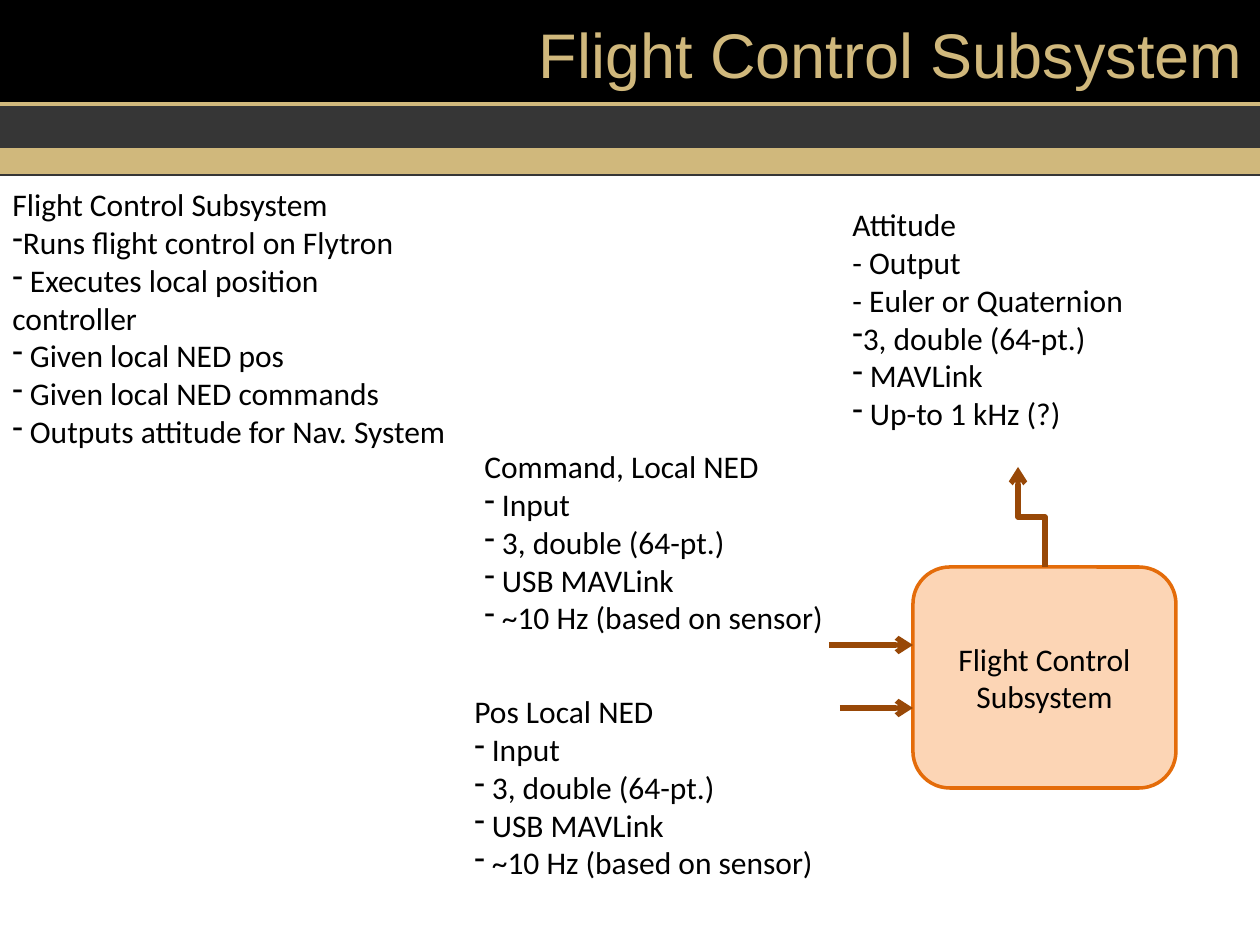
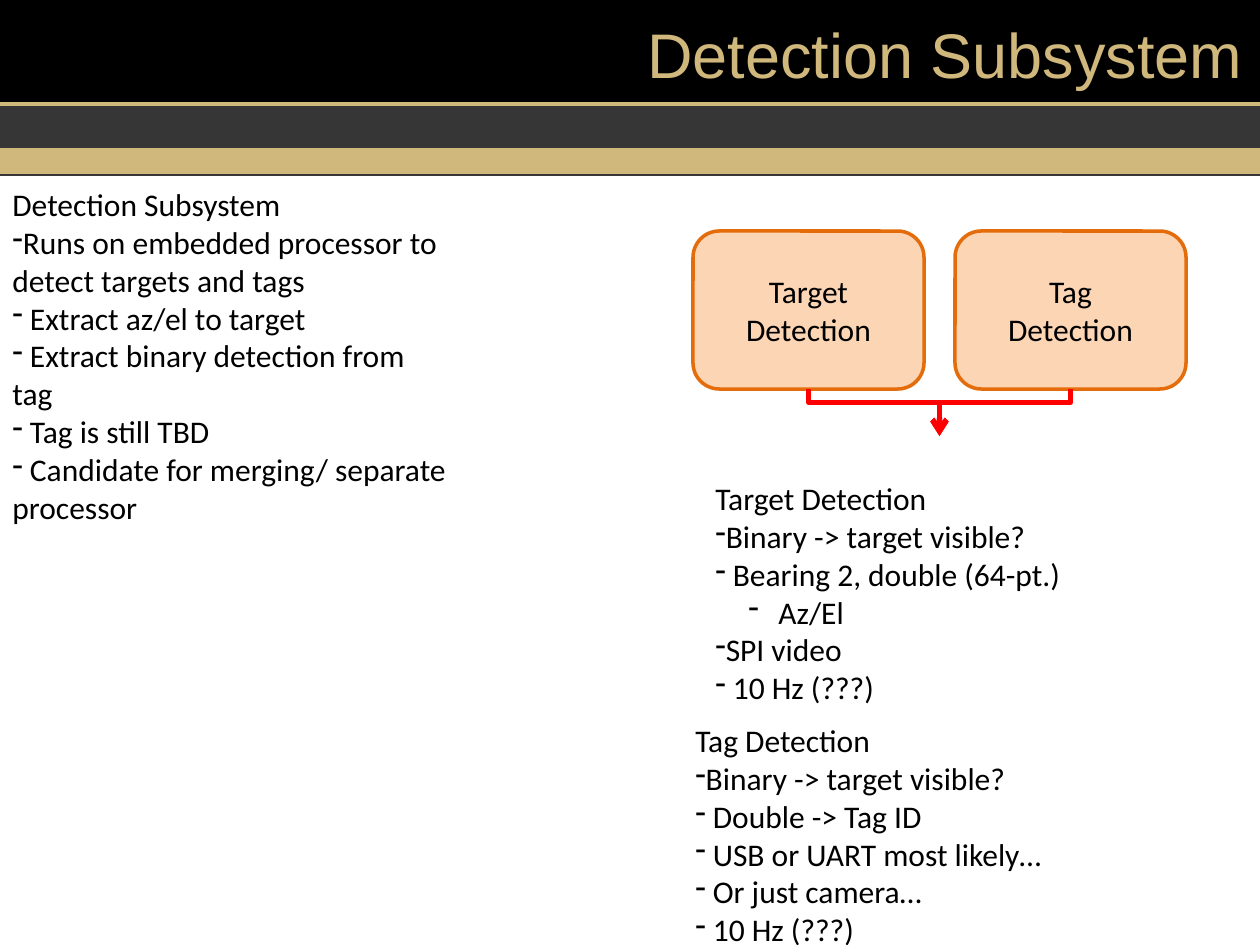
from dataclasses import dataclass
from lxml.etree import SubElement
from pptx import Presentation
from pptx.dml.color import RGBColor as Rgb
from pptx.enum.shapes import MSO_CONNECTOR as Connector, MSO_SHAPE as Shape
from pptx.enum.text import MSO_ANCHOR as Anchor, MSO_AUTO_SIZE as AutoSize, PP_ALIGN as Align
from pptx.oxml.ns import qn
from pptx.util import Emu, Pt

EMU_PER_PIXEL = 914400 / 126
WIDTH, HEIGHT = 1260, 945


@dataclass(frozen=True)
class Theme:
    black: Rgb = Rgb.from_string("000000")
    gold: Rgb = Rgb.from_string("D0B87C")
    charcoal: Rgb = Rgb.from_string("363636")
    peach: Rgb = Rgb.from_string("FCD5B5")
    orange: Rgb = Rgb.from_string("E46C0A")
    brown: Rgb = Rgb.from_string("984807")
    red: Rgb = Rgb.from_string("FF0000")
    title_font: str = "Arial"
    body_font: str = "Calibri"
    title_size: int = 36
    body_size: int = 18
    arrow_width: float = 3
    outline_width: float = 2
    hairline: float = 0.75


def px(value):
    return Emu(round(value * EMU_PER_PIXEL))


def assign(target, values):
    for name, value in values.items():
        setattr(target, name, value)


class Deck:
    def __init__(self, theme):
        self.theme = theme
        self.presentation = Presentation()
        assign(self.presentation, {"slide_width": px(WIDTH), "slide_height": px(HEIGHT)})
        self.slide = None

    def new_slide(self, title):
        theme = self.theme
        self.slide = self.presentation.slides.add_slide(self.presentation.slide_layouts[6])
        self.block(0, 0, WIDTH, 103, theme.black)
        self.line((0, 105), (WIDTH, 105), theme.gold, theme.arrow_width)
        self.block(0, 149, WIDTH, 25, theme.gold, theme.gold)
        self.block(0, 108, WIDTH, 38, theme.charcoal, theme.charcoal)
        self.line((0, 175), (WIDTH, 175), theme.charcoal, theme.hairline)
        frame = self.text_frame(426, 3, 829, 101, {"vertical_anchor": Anchor.MIDDLE})
        paragraph = self.add_text(frame, title, theme.title_font, theme.title_size, theme.gold)
        paragraph.alignment = Align.RIGHT

    def block(self, x, y, width, height, fill, outline=None, kind=Shape.RECTANGLE):
        shape = self.slide.shapes.add_shape(kind, px(x), px(y), px(width), px(height))
        shape.shadow.inherit = False
        shape.fill.solid()
        shape.fill.fore_color.rgb = fill
        if outline is None:
            shape.line.fill.background()
        else:
            shape.line.color.rgb = outline
            shape.line.width = Pt(self.theme.outline_width)
        return shape

    def text_frame(self, x, y, width, height, values):
        box = self.slide.shapes.add_textbox(px(x), px(y), px(width), px(height))
        assign(box.text_frame, {"word_wrap": True, **values})
        return box.text_frame

    def add_text(self, frame, text, font=None, size=None, color=None):
        first = frame.paragraphs[0]
        paragraph = frame.add_paragraph() if first.runs else first
        run = paragraph.add_run()
        run.text = text
        assign(run.font, {"name": font or self.theme.body_font,
                          "size": Pt(size or self.theme.body_size)})
        run.font.color.rgb = color or self.theme.black
        return paragraph

    def notes(self, x, y, width, height, plain, bullets, nested=()):
        frame = self.text_frame(x, y, width, height, {"auto_size": AutoSize.SHAPE_TO_FIT_TEXT})
        for text in plain:
            self.add_text(frame, text)
        for text in bullets:
            paragraph = self.add_text(frame, text)
            margin, indent = (63, -30) if text in nested else (0, 0)
            paragraph.level = int(text in nested)
            properties = paragraph._p.get_or_add_pPr()
            properties.set("marL", str(px(margin)))
            properties.set("indent", str(px(indent)))
            SubElement(properties, qn("a:buFontTx"))
            SubElement(properties, qn("a:buChar"), char="-")

    def module(self, x, y, width, height, lines):
        shape = self.block(x, y, width, height, self.theme.peach, self.theme.orange,
                           Shape.ROUNDED_RECTANGLE)
        assign(shape.text_frame, {"word_wrap": True, "vertical_anchor": Anchor.MIDDLE})
        for text in lines:
            self.add_text(shape.text_frame, text).alignment = Align.CENTER

    def line(self, start, end, color, width, kind=Connector.STRAIGHT):
        connector = self.slide.shapes.add_connector(kind, *map(px, (*start, *end)))
        connector.line.color.rgb = color
        connector.line.width = Pt(width)
        SubElement(connector._element.spPr, qn("a:effectLst"))
        return connector

    def arrow(self, start, end, color, kind=Connector.STRAIGHT):
        connector = self.line(start, end, color, self.theme.arrow_width, kind)
        SubElement(connector.get_or_add_ln(), qn("a:tailEnd"), type="arrow")
        return connector

    def vertical_elbow(self, start, end, color, bend=0.5):
        run, rise = end[0] - start[0], end[1] - start[1]
        center_x, center_y = (start[0] + end[0]) / 2, (start[1] + end[1]) / 2
        half_width = abs(rise) / 2
        half_height = abs(run) / 2 * (-1 if run * rise > 0 else 1)
        connector = self.arrow((center_x - half_width, center_y - half_height),
                               (center_x + half_width, center_y + half_height),
                               color, Connector.ELBOW)
        properties = connector._element.spPr
        properties.find(qn("a:xfrm")).set("rot", str((90 if rise > 0 else 270) * 60000))
        geometry = properties.find(qn("a:prstGeom"))
        adjustments = geometry.find(qn("a:avLst"))
        if adjustments is None:
            adjustments = SubElement(geometry, qn("a:avLst"))
        SubElement(adjustments, qn("a:gd"), name="adj1", fmla=f"val {round(bend * 100000)}")


def flight_control(deck):
    brown = deck.theme.brown
    sensor_input = (" Input", " 3, double (64-pt.)", " USB MAVLink", " ~10 Hz (based on sensor)")
    deck.new_slide("Flight Control Subsystem")
    deck.notes(840, 199, 357, 280, ("Attitude", "- Output", "- Euler or Quaternion"),
               ("3, double (64-pt.)", " MAVLink", " Up-to 1 kHz (?)"))
    deck.notes(472, 441, 451, 280, ("Command, Local NED",), sensor_input)
    deck.notes(0, 179, 462, 357, ("Flight Control Subsystem",),
               ("Runs flight control on Flytron", " Executes local position controller",
                " Given local NED pos", " Given local NED commands",
                " Outputs attitude for Nav. System"))
    deck.module(913, 567, 263, 221, ("Flight Control", "Subsystem"))
    deck.arrow((829, 645), (913, 645), brown)
    deck.vertical_elbow((1045, 567), (1018, 467), brown)
    deck.arrow((840, 708), (913, 708), brown)
    deck.notes(462, 686, 451, 280, ("Pos Local NED",), sensor_input)


def detection(deck):
    deck.new_slide("Detection Subsystem")
    deck.notes(703, 473, 451, 357, ("Target Detection",),
               ("Binary -> target visible?", " Bearing 2, double (64-pt.)", "Az/El",
                "SPI video", " 10 Hz (???)"), nested=("Az/El",))
    deck.notes(0, 179, 462, 471, ("Detection Subsystem",),
               ("Runs on embedded processor to detect targets and tags",
                " Extract az/el to target", " Extract binary detection from tag",
                " Tag is still TBD", " Candidate for merging/ separate processor"))
    left, top, width, height, pitch = 693, 231, 231, 158, 262
    merge_point = (left + (width + pitch) / 2, 436)
    for index, lines in enumerate((("Target Detection",), ("Tag", "Detection"))):
        x = left + index * pitch
        deck.module(x, top, width, height, lines)
        deck.vertical_elbow((x + width / 2, top + height), merge_point, deck.theme.red, 0.28)
    deck.notes(683, 715, 451, 394, ("Tag Detection",),
               ("Binary -> target visible?", " Double -> Tag ID", " USB or UART most likely…",
                " Or just camera…", " 10 Hz (???)"))


deck = Deck(Theme())
flight_control(deck)
detection(deck)
deck.presentation.save("out.pptx")
